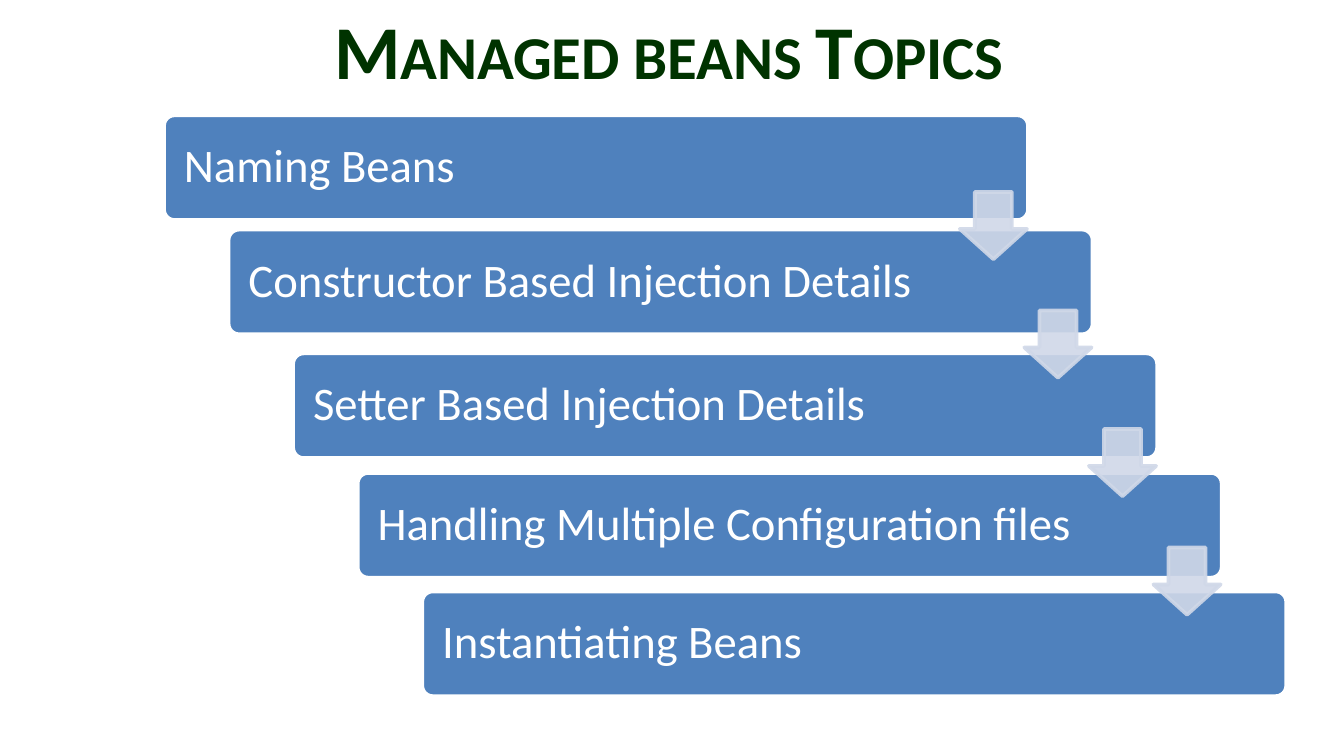
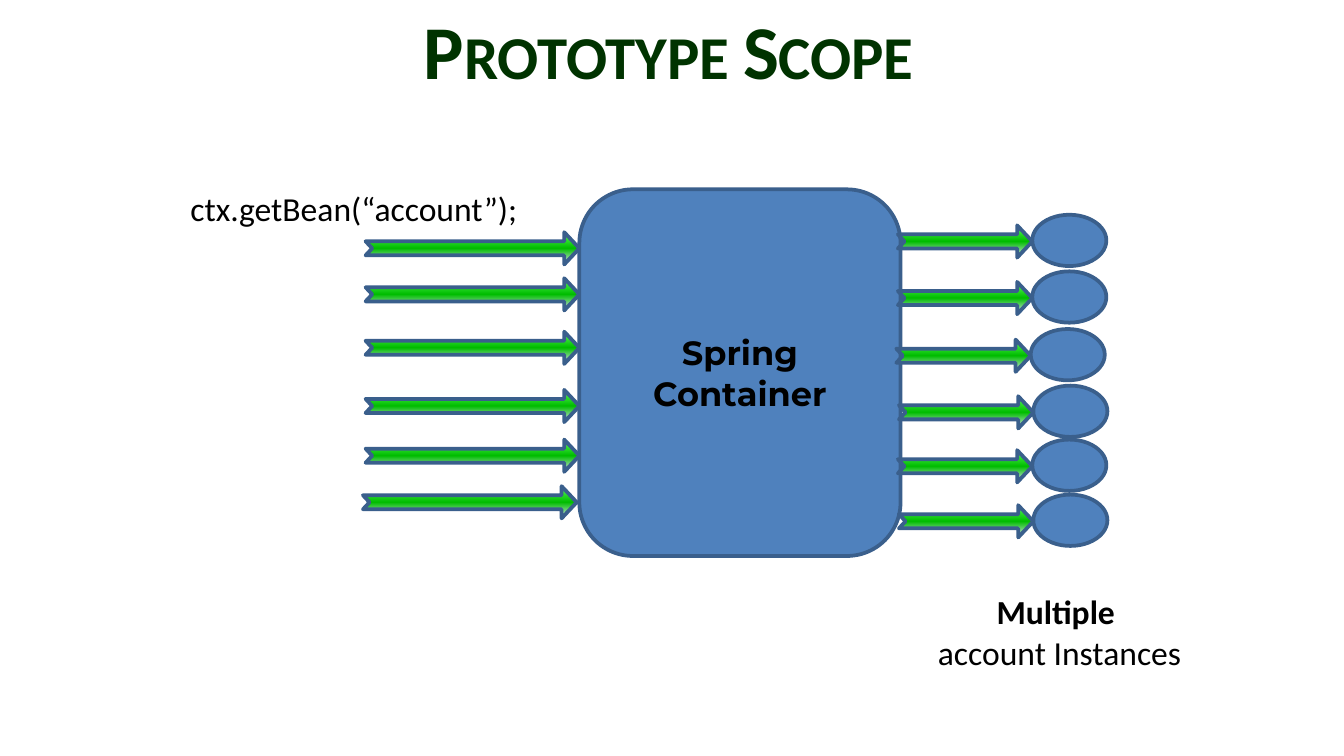
"""Build two slides: the managed beans topics and the prototype scope diagram."""
import copy

import pptx
import pptx.dml.color
import pptx.enum.shapes
import pptx.enum.text
import pptx.oxml
import pptx.oxml.ns
import pptx.util

Cm = pptx.util.Cm
Pt = pptx.util.Pt
Kind = pptx.enum.shapes.MSO_SHAPE
Align = pptx.enum.text.PP_ALIGN
Anchor = pptx.enum.text.MSO_ANCHOR
AutoSize = pptx.enum.text.MSO_AUTO_SIZE
qn = pptx.oxml.ns.qn


def color(value):
    return pptx.dml.color.RGBColor.from_string(value)


class Sketch:
    font = "Calibri"
    title_color = "003300"
    blue = "4F81BD"
    outline = "3A5F8C"
    pale = "D0D8E8"
    white = "FFFFFF"
    black = "000000"
    flow_stops = ((0, "5DFF5D"), (0.5, "00BC00"), (1, "E1E8F5"))

    def __init__(self, deck):
        self.deck = deck
        self.page = None

    def start_page(self, title):
        self.page = self.deck.slides.add_slide(self.deck.slide_layouts[5])
        box = self.page.shapes.title
        box.left, box.top = Cm(-0.15), Cm(-0.03)
        box.width, box.height = Cm(25.58), Cm(1.93)
        frame = box.text_frame
        frame.auto_size = AutoSize.NONE
        frame.vertical_anchor = Anchor.MIDDLE
        self.add_lines(frame, [(title, True)], 40.7, self.title_color, Align.CENTER)
        span = frame.paragraphs[0].runs[0]
        span.font._element.set("cap", "small")

    def add_lines(self, frame, lines, size, ink, align=Align.LEFT, font=None):
        frame.word_wrap = True
        for index, (text, bold) in enumerate(lines):
            para = frame.add_paragraph() if index else frame.paragraphs[0]
            para.alignment = align
            span = para.add_run()
            span.text = text
            span.font.name = font or self.font
            span.font.size = Pt(size)
            span.font.bold = bold
            span.font.color.rgb = color(ink)

    def label(self, left, top, width, height, lines, align=Align.LEFT):
        box = self.page.shapes.add_textbox(Cm(left), Cm(top), Cm(width), Cm(height))
        self.add_lines(box.text_frame, lines, 18, self.black, align)
        box.text_frame.auto_size = AutoSize.SHAPE_TO_FIT_TEXT

    def shape(self, kind, left, top, width, height, fill=blue, line=outline, adjust=()):
        shape = self.page.shapes.add_shape(kind, Cm(left), Cm(top), Cm(width), Cm(height))
        shape.shadow.inherit = False
        shape.fill.solid()
        shape.fill.fore_color.rgb = color(fill)
        shape.line.color.rgb = color(line)
        shape.line.width = Pt(2)
        for index, value in enumerate(adjust):
            shape.adjustments[index] = value
        return shape

    def topic_bar(self, left, top, text):
        bar = self.shape(Kind.ROUNDED_RECTANGLE, left, top, 16.33, 1.98,
                         line=self.white, adjust=(0.1,))
        frame = bar.text_frame
        frame.margin_left = Cm(0.32)
        frame.vertical_anchor = Anchor.MIDDLE
        self.add_lines(frame, [(text, False)], 25, self.white)
        frame.paragraphs[0].line_spacing = 0.9

    def step_arrow(self, left, top):
        arrow = self.shape(Kind.DOWN_ARROW, left, top, 1.27, 1.27,
                           self.pale, self.pale, (0.55, 0.45))
        for node in arrow._element.spPr.iter(qn("a:srgbClr")):
            alpha = pptx.oxml.parse_xml(
                f'<a:alpha {pptx.oxml.ns.nsdecls("a")} val="90000"/>')
            node.append(alpha)

    def flow_arrow(self, left, top, width):
        arrow = self.shape(Kind.NOTCHED_RIGHT_ARROW, left, top, width, 0.61,
                           adjust=(0.437, 0.468))
        arrow.fill.gradient()
        arrow.fill.gradient_angle = 270
        stop_list = arrow._element.spPr.find(qn("a:gradFill")).find(qn("a:gsLst"))
        stop_list.append(copy.deepcopy(stop_list[0]))
        for stop, (position, value) in zip(arrow.fill.gradient_stops, self.flow_stops):
            stop.position = position
            stop.color.rgb = color(value)

    def container(self, left, top, width, height, lines):
        box = self.shape(Kind.ROUNDED_RECTANGLE, left, top, width, height)
        box.text_frame.vertical_anchor = Anchor.MIDDLE
        self.add_lines(box.text_frame, lines, 18, self.black, Align.CENTER, "Montserrat")


def draw_topics(sketch):
    sketch.start_page("Managed beans Topics")
    topics = (
        (2.18, "Naming Beans"),
        (4.34, "Constructor Based Injection Details"),
        (6.68, "Setter Based Injection Details"),
        (8.94, "Handling Multiple Configuration files"),
        (11.18, "Instantiating Beans"),
    )
    indent = 1.22
    for index, (top, text) in enumerate(topics):
        sketch.topic_bar(3.1 + index * indent, top, text)
    for index in range(len(topics) - 1):
        sketch.step_arrow(18.14 + index * indent, 3.63 + index * 2.24)


def draw_scope(sketch):
    sketch.start_page("Prototype Scope")
    sketch.container(10.95, 3.58, 6.07, 6.93, [("Spring", True), ("Container", True)])
    for top in (4.39, 5.26, 6.27, 7.37, 8.31):
        sketch.flow_arrow(6.91, top, 4.04)
    sketch.flow_arrow(6.86, 9.19, 4.04)
    sketch.label(3.35, 3.43, 7.59, 1.02, [("ctx.getBean(“account”);", False)])
    sketch.label(16.94, 11.05, 6.17, 1.8,
                 [("Multiple ", True), ("account Instances", False)], Align.CENTER)
    instances = ((19.51, 4.06), (19.51, 5.13), (19.48, 6.22),
                 (19.53, 7.29), (19.51, 8.31), (19.53, 9.35))
    for left, top in instances:
        sketch.shape(Kind.OVAL, left, top, 1.4, 0.97)
        sketch.flow_arrow(left - 2.54, top + 0.2, 2.54)


def main():
    deck = pptx.Presentation()
    deck.slide_width, deck.slide_height = Cm(25.4), Cm(14.29)
    sketch = Sketch(deck)
    draw_topics(sketch)
    draw_scope(sketch)
    deck.save("out.pptx")


if __name__ == "__main__":
    main()
